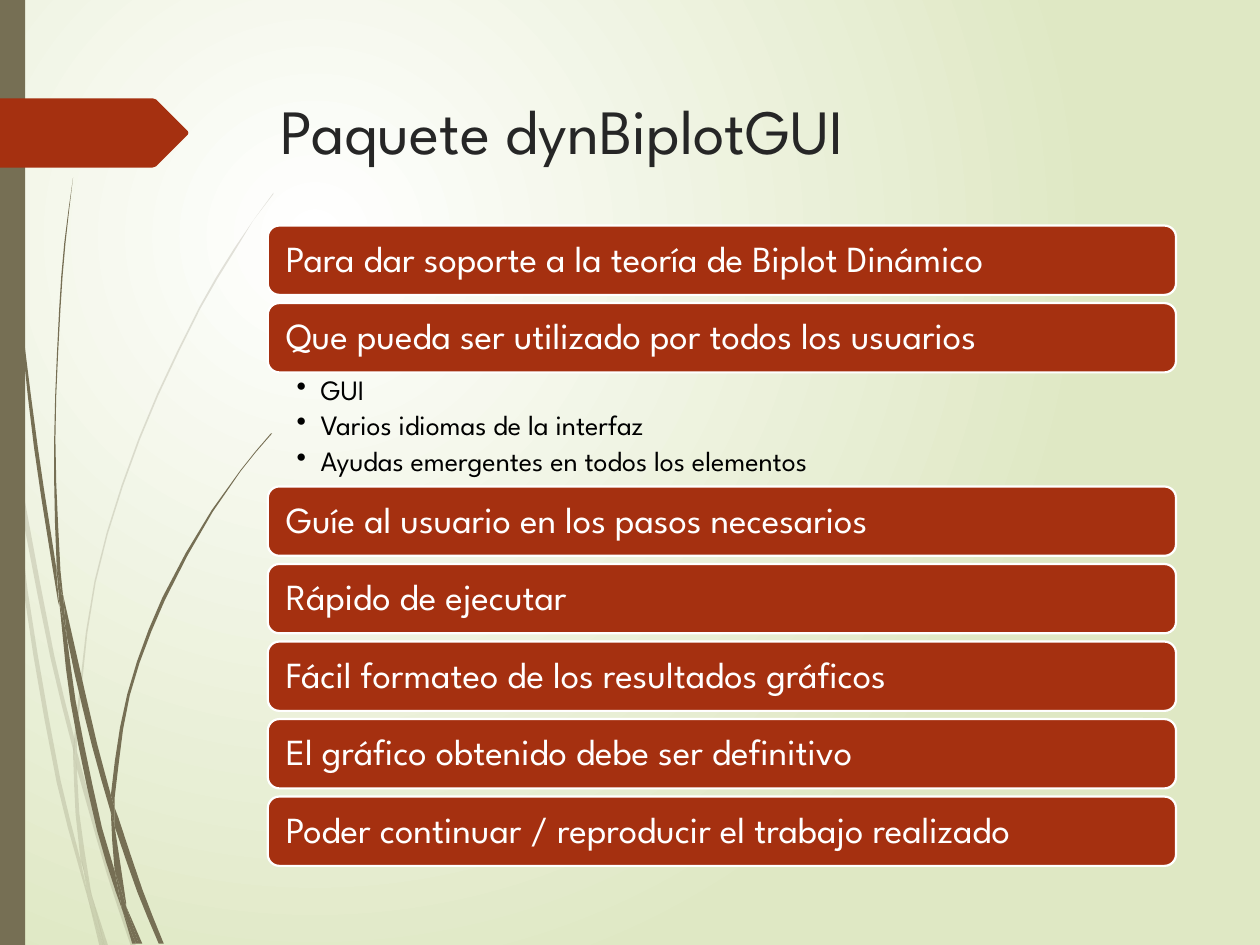
from dataclasses import dataclass

from lxml import etree
from pptx import Presentation
from pptx.dml.color import RGBColor
from pptx.enum.shapes import MSO_SHAPE
from pptx.enum.text import MSO_ANCHOR, PP_ALIGN
from pptx.oxml import parse_xml
from pptx.oxml.ns import nsdecls, qn
from pptx.util import Pt

RECT, ROUND_RECT = MSO_SHAPE.RECTANGLE, MSO_SHAPE.ROUNDED_RECTANGLE
TOP, MIDDLE, LEFT = MSO_ANCHOR.TOP, MSO_ANCHOR.MIDDLE, PP_ALIGN.LEFT
FONT = "League Spartan"
COLORS = {"olive": "766F54", "red": "A53010", "white": "FFFFFF",
          "green": "DFE8C4", "title": "262626", "black": "000000"}
GRID = 0.72  # points per unit of the outline coordinates
LIST_X, LIST_Y, LIST_W = 153, 128.9, 519
STEP_H, STEP_GAP, DETAILS_H = 39.6, 4.7, 65.2


@dataclass
class Blade:
    """A grass piece: one edge out and one edge back, as x,y grid points."""
    out: str
    back: str


@dataclass
class Step:
    text: str
    details: tuple[str, ...] = ()


PALE_BLADES = [
    Blade("8,350 6,322 0,282", "0,299 7,344 8,350"),
    Blade("10,345 12,376 40,522 59,599", "59,586 43,520 10,345"),
    Blade("61,596 64,607 88,692 108,751", "104,751 85,694 61,610"),
    Blade("73,711 83,751", "86,751 73,711"),
    Blade("8,350 12,376 22,469 48,619 64,683 69,707 70,714", "70,714 64,693 45,621 19,470 8,350"),
    Blade("58,599 60,646 64,683 67,692 73,711", "73,711 72,706 63,646 61,610 61,608 58,599"),
    Blade("61,596 61,584 76,462 111,349 159,245 187,198 201,175 217,154",
          "217,153 201,175 186,197 158,244 110,348 75,461 59,584 59,586"),
    Blade("70,714 79,751", "82,751 70,714"),
    Blade("61,608 61,610 61,596", "59,586 58,599"),
    Blade("65,683 69,707 70,714 82,751", "83,751 73,711 67,692 65,683"),
]
DARK_BLADES = [
    Blade("2,0 3,48 5,110 14,233 27,355 46,477 47,481",
          "47,481 45,457 45,453 30,355 15,232 6,109 4,48 3,0"),
    Blade("50,472 53,505 73,592 88,645", "88,633 88,631 77,590 50,472"),
    Blade("91,641 94,649 113,706 130,749", "126,749 109,708 91,656"),
    Blade("47,477 53,505 60,556 81,657 91,691 96,717 97,722", "97,722 92,708 77,659 56,557 47,477"),
    Blade("50,472 48,453 44,349 48,245 52,193 58,141", "58,141 51,193 47,245 43,349 45,449 49,472"),
    Blade("100,719 110,749", "113,749 100,719"),
    Blade("45,449 45,453 47,477 53,505", "53,505 50,472 49,472 45,449"),
    Blade("91,641 91,633 103,552 131,476 169,406 191,374 203,359 216,344",
          "215,344 203,358 191,373 168,405 129,474 101,551 88,631 91,641"),
    Blade("97,722 105,749", "108,749 97,722"),
    Blade("88,645 91,691 96,706 100,719", "100,719 100,716 91,656 90,651 88,645"),
    Blade("88,645 90,651 91,656 91,641", "88,631 88,633"),
    Blade("91,691 96,717 97,722 108,749", "110,749 100,719 96,706 91,691"),
]
ARROW = "0,78 121,78 124,79 149,104 149.5,105.5 149,107 124,132 121,133 0,133"
STEPS = [
    Step("Para dar soporte a la teoría de Biplot Dinámico"),
    Step("Que pueda ser utilizado por todos los usuarios",
         ("GUI", "Varios idiomas de la interfaz", "Ayudas emergentes en todos los elementos")),
    Step("Guíe al usuario en los pasos necesarios"),
    Step("Rápido de ejecutar"),
    Step("Fácil formateo de los resultados gráficos"),
    Step("El gráfico obtenido debe ser definitivo"),
    Step("Poder continuar / reproducir el trabajo realizado"),
]


def rgb(name: str) -> RGBColor:
    return RGBColor.from_string(COLORS[name])


def points(text: str) -> list[complex]:
    return [complex(*map(float, pair.split(","))) for pair in text.split()]


def smooth(pts: list[complex]) -> list[complex]:
    """Sample a Hermite curve, with more samples on long segments."""
    ends = [pts[0], *pts, pts[-1]]
    curve = [pts[0]]
    for before, a, b, after in zip(ends, ends[1:], ends[2:], ends[3:]):
        size = abs(b - a)
        steps = min(3, 1 + int(size / 40))
        ta = (b - before) / (abs(b - before) or 1) * size
        tb = (after - a) / (abs(after - a) or 1) * size
        for i in range(1, steps + 1):
            t = i / steps
            curve.append((2 * t**3 - 3 * t**2 + 1) * a + (t**3 - 2 * t**2 + t) * ta
                         + (3 * t**2 - 2 * t**3) * b + (t**3 - t**2) * tb)
    return curve


def paint(sp, color: str, line: str = "", alpha: int = 100) -> None:
    sp.shadow.inherit = False
    sp.fill.solid()
    sp.fill.fore_color.rgb = rgb(color)
    if alpha < 100:
        clr = sp.element.spPr.find(qn("a:solidFill"))[0]
        etree.SubElement(clr, qn("a:alpha"), val=str(alpha * 1000))
    if line:
        sp.line.color.rgb = rgb(line)
        sp.line.width = Pt(1.25)
    else:
        sp.line.fill.background()


def add_outline(slide, pts: list[complex], color: str, alpha: int = 100) -> None:
    xy = [(Pt(p.real * GRID), Pt(p.imag * GRID)) for p in pts]
    builder = slide.shapes.build_freeform(*xy[0], scale=1.0)
    builder.add_line_segments(xy[1:], close=True)
    paint(builder.convert_to_shape(), color, alpha=alpha)


def write(sp, *lines: str, size: float, color: str, inset: tuple[float, ...],
          anchor=TOP, spacing: float = 1.0, after: float = 0, bullet: str = "") -> None:
    tf = sp.text_frame
    tf.word_wrap, tf.vertical_anchor = True, anchor
    tf.margin_left, tf.margin_top, tf.margin_right, tf.margin_bottom = map(Pt, inset)
    for i, line in enumerate(lines):
        p = tf.add_paragraph() if i else tf.paragraphs[0]
        p.alignment, p.line_spacing, p.space_after = LEFT, spacing, Pt(after)
        r = p.add_run()
        r.text = line
        r.font.name, r.font.size, r.font.color.rgb = FONT, Pt(size), rgb(color)
        if bullet:
            pPr = p._p.get_or_add_pPr()
            pPr.set("marL", str(Pt(13.7)))
            pPr.set("indent", str(-Pt(13.7)))
            etree.SubElement(pPr, qn("a:buChar"), char=bullet)


def add_background(slide) -> None:
    stops = "".join(f'<a:gs pos="{pos}"><a:srgbClr val="{COLORS[name]}"/></a:gs>'
                    for pos, name in ((0, "white"), (100000, "green")))
    slide.element.cSld.insert(0, parse_xml(
        f'<p:bg {nsdecls("p", "a")}><p:bgPr><a:gradFill rotWithShape="1"><a:gsLst>{stops}</a:gsLst>'
        '<a:path path="circle"><a:fillToRect l="50000" t="50000" r="100000" b="100000"/></a:path>'
        '</a:gradFill><a:effectLst/></p:bgPr></p:bg>'))


def add_steps(slide) -> None:
    y = LIST_Y
    for step in STEPS:
        sp = slide.shapes.add_shape(ROUND_RECT, Pt(LIST_X), Pt(y), Pt(LIST_W), Pt(STEP_H))
        paint(sp, "red", line="white")
        write(sp, step.text, size=21, color="white", inset=(8.4, 8.4, 8.4, 8.4),
              anchor=MIDDLE, spacing=0.9, after=7.35)
        y += STEP_H
        if step.details:
            sp = slide.shapes.add_textbox(Pt(LIST_X), Pt(y), Pt(LIST_W), Pt(DETAILS_H))
            write(sp, *step.details, size=16, color="black", inset=(16.5, 2.1, 11.5, 2.1),
                  spacing=0.9, after=3.2, bullet="•")
            y += DETAILS_H
        else:
            y += STEP_GAP


prs = Presentation()
prs.slide_width, prs.slide_height = Pt(720), Pt(540)
slide = prs.slides.add_slide(prs.slide_layouts[6])

# Backdrop: gradient, grass, side bar and arrow
add_background(slide)
for blades, opacity in ((PALE_BLADES, 20), (DARK_BLADES, 100)):
    for blade in blades:
        edges = smooth(points(blade.out)) + smooth(points(blade.back))
        add_outline(slide, edges, "olive", opacity)
side_bar = slide.shapes.add_shape(RECT, 0, 0, Pt(14.4), Pt(540))
paint(side_bar, "olive")
add_outline(slide, points(ARROW), "red")

# Title
title = slide.shapes.add_textbox(Pt(153.4), Pt(49), Pt(519), Pt(100.8))
write(title, "Paquete dynBiplotGUI", size=36, color="title", inset=(7.2, 3.6, 7.2, 3.6))

# List of goals
add_steps(slide)

prs.save("out.pptx")
